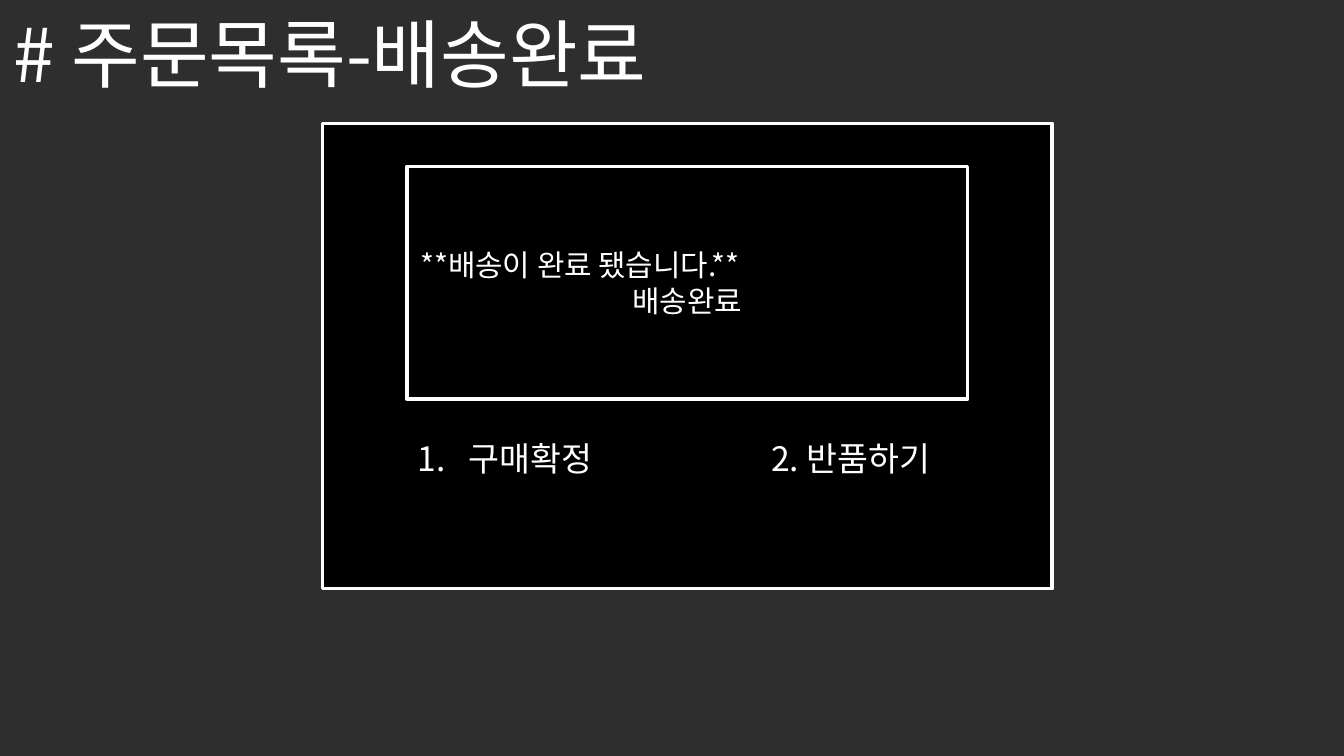
import pptx
import pptx.util
import pptx.dml.color
import pptx.enum.shapes
import pptx.enum.text
import pptx.oxml.ns
from lxml import etree

Inches = pptx.util.Inches
Pt = pptx.util.Pt
ALIGN = pptx.enum.text.PP_ALIGN
ANCHOR = pptx.enum.text.MSO_ANCHOR
AUTO_SIZE = pptx.enum.text.MSO_AUTO_SIZE
qn = pptx.oxml.ns.qn

FONT = "Noto Sans CJK KR"
WHITE, BLACK, BACKGROUND = "FFFFFF", "000000", "2E2E2E"


def rgb(value):
    return pptx.dml.color.RGBColor.from_string(value)


def write(p, text, size, align=ALIGN.LEFT):
    r = p.add_run()
    r.text = text
    p.alignment = align
    for name, value in {"size": Pt(size), "name": FONT, "bold": False}.items():
        setattr(r.font, name, value)
    r.font.color.rgb = rgb(WHITE)
    # Korean glyphs take the East Asian typeface
    etree.SubElement(r.font._element, qn("a:ea"), typeface=FONT)


def add_panel(s, x, y, w, h):
    panel = s.shapes.add_shape(pptx.enum.shapes.MSO_SHAPE.RECTANGLE,
                               Inches(x), Inches(y), Inches(w), Inches(h))
    panel.shadow.inherit = False
    panel.fill.solid()
    panel.fill.fore_color.rgb = rgb(BLACK)
    panel.line.color.rgb = rgb(WHITE)
    panel.line.width = Pt(2)
    return panel


def format_label(tf):
    for name, value in {"word_wrap": False, "vertical_anchor": ANCHOR.TOP,
                        "auto_size": AUTO_SIZE.SHAPE_TO_FIT_TEXT}.items():
        setattr(tf, name, value)


def add_title(s, x, y, w, h):
    title = s.shapes.title
    box = {"left": x, "top": y, "width": w, "height": h}
    for name, value in box.items():
        setattr(title, name, Inches(value))
    format_label(title.text_frame)
    write(title.text_frame.paragraphs[0], "# 주문목록-배송완료", 40)


def add_message(s, x, y, w, h):
    tf = add_panel(s, x, y, w, h).text_frame
    tf.word_wrap = True
    tf.vertical_anchor = ANCHOR.MIDDLE
    write(tf.paragraphs[0], "**배송이 완료 됐습니다.**", 16)
    write(tf.add_paragraph(), "배송완료", 16, ALIGN.CENTER)


def add_option(s, x, y, w, h, text, numbered=False):
    tf = s.shapes.add_textbox(Inches(x), Inches(y), Inches(w), Inches(h)).text_frame
    format_label(tf)
    p = tf.paragraphs[0]
    if numbered:
        pPr = p._p.get_or_add_pPr()
        pPr.set("marL", str(Inches(0.38)))
        pPr.set("indent", str(-Inches(0.38)))
        etree.SubElement(pPr, qn("a:buFont"), typeface="+mj-lt")
        etree.SubElement(pPr, qn("a:buAutoNum"), type="arabicPeriod")
    write(p, text, 18)


def add_order_screen(s, x, y, w, h):
    add_panel(s, x, y, w, h)
    # Delivery message, centred across the screen
    message_w = 4.17
    add_message(s, x + (w - message_w) / 2, y + 0.32, message_w, 1.73)
    # Choices below the message
    add_option(s, x + 0.61, y + 2.29, 1.59, 0.4, "구매확정", numbered=True)
    add_option(s, x + 3.24, y + 2.29, 1.5, 0.4, "2. 반품하기")


def main():
    prs = pptx.Presentation()
    # Widescreen, 16:9
    prs.slide_width = Inches(10)
    prs.slide_height = prs.slide_width * 9 // 16
    s = prs.slides.add_slide(prs.slide_layouts[5])
    s.background.fill.solid()
    s.background.fill.fore_color.rgb = rgb(BACKGROUND)
    add_title(s, 0, 0.01, 5.46, 0.77)
    add_order_screen(s, 2.4, 0.92, 5.43, 3.46)
    prs.save("out.pptx")


if __name__ == "__main__":
    main()
